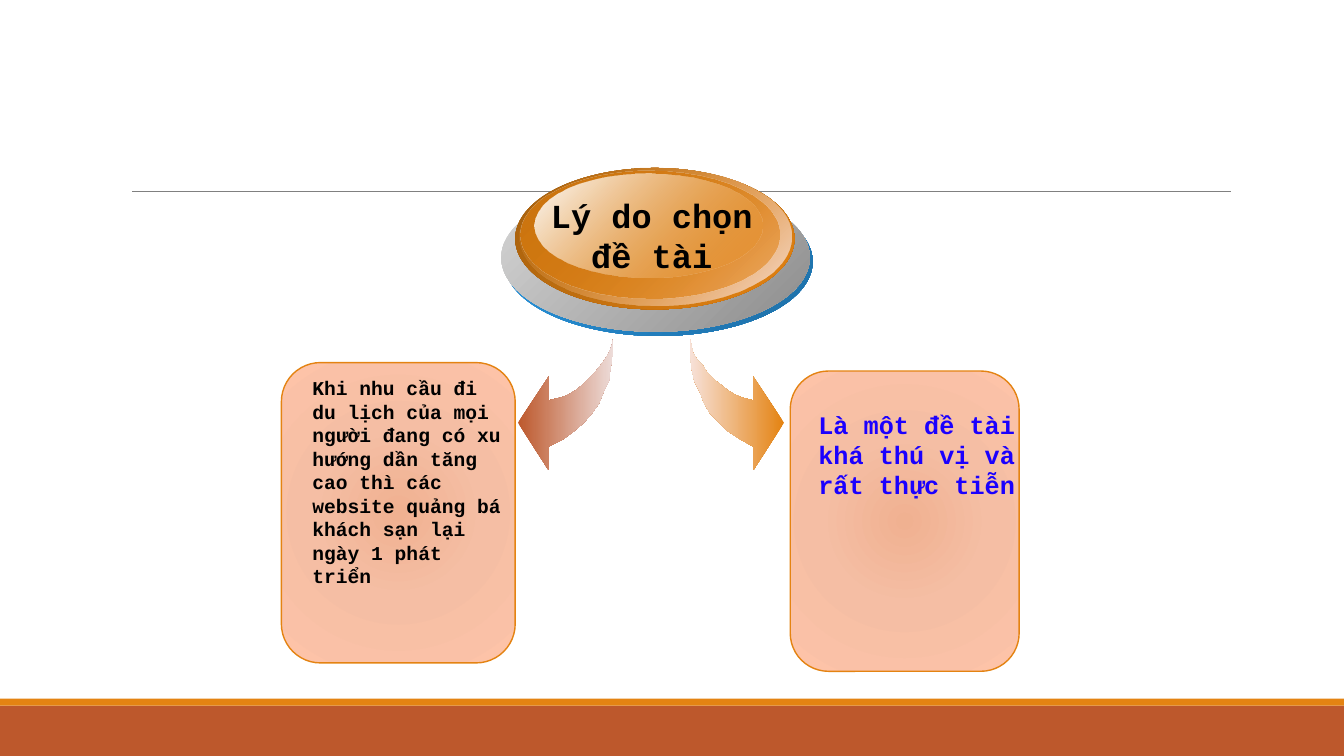
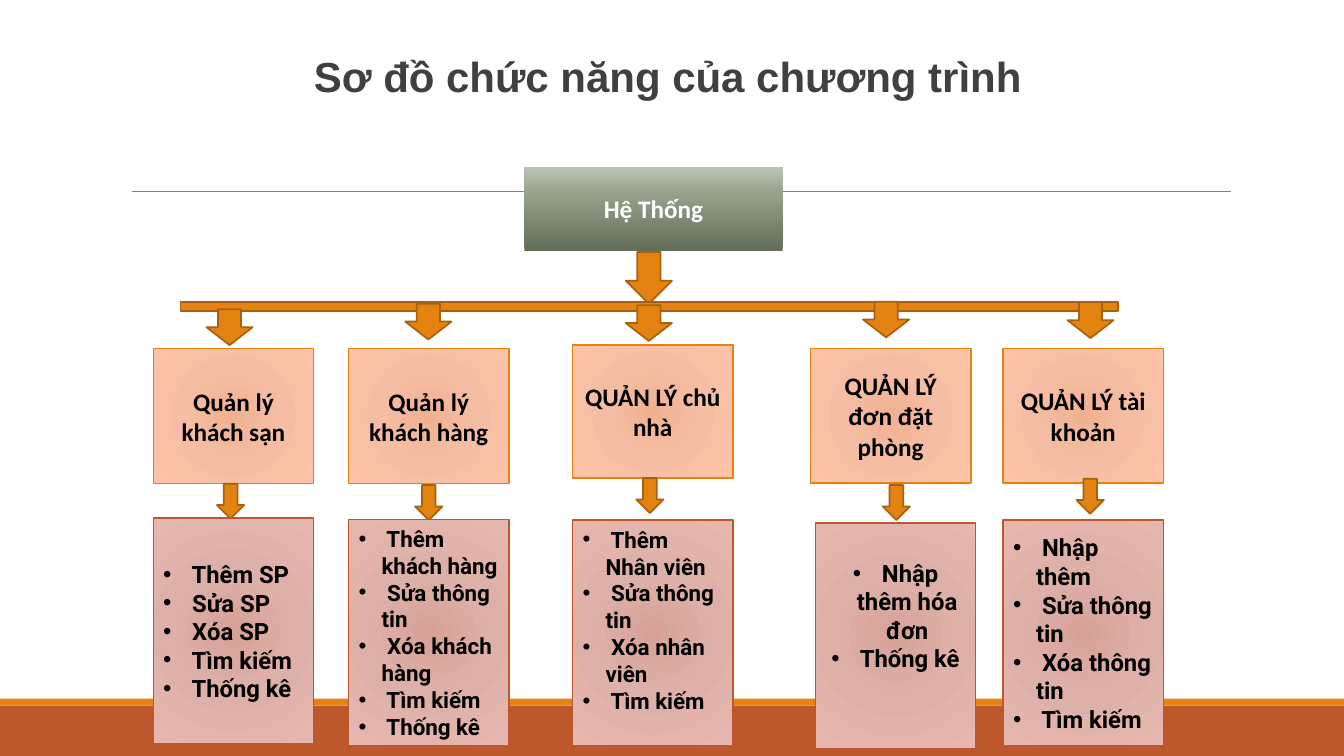
"""Builds two slides: the reasons for the topic and the function chart of the program."""
import typing

import pptx
import pptx.dml.color
import pptx.enum.shapes
import pptx.enum.text
import pptx.oxml
import pptx.oxml.ns
import pptx.util

Pt = pptx.util.Pt
SHAPE = pptx.enum.shapes.MSO_SHAPE
ALIGN = pptx.enum.text.PP_ALIGN
ANCHOR = pptx.enum.text.MSO_ANCHOR

ORANGE, RUST, BROWN = "E48312", "BD582C", "A9610D"
BLACK, WHITE, GREY, DARK, BLUE = "000000", "FFFFFF", "808080", "404040", "1B00FE"
PEACH = [(0, "F0B191"), (45, "F5BEA4"), (100, "FDC3A8")]
ROSE = [(0, "D7A197"), (45, "DEB1A8"), (100, "E6B7AE")]
GREEN = [(0, "636E58"), (70, "97A38C"), (100, "BFC6B8")]

ELLIPSES = [
    ((360, 134, 220.5, 106), [(0, "2998E3"), (100, "1E6FA6")]),
    ((358, 131, 220.5, 106), [(0, "D6D6D6"), (100, "8C8C8C")]),
    ((368, 120, 199.5, 101), [(0, "A35E0D"), (100, ORANGE)]),
    ((371, 120, 194.5, 98.5), [(0, ORANGE, 0), (100, "F6DED4")]),
    ((372, 121.5, 185, 92), [(0, "CE7610"), (100, ORANGE, 48)]),
    ((382, 124, 163, 74), [(0, WHITE), (100, ORANGE, 38)]),
]
CURVED_ARROW = [
    (0, 0), (0, 10.8), (1.4, 20.9), (2.9, 29.5), (6.5, 38.2), (10, 46),
    (14.4, 53.3), (20.9, 59.8), (27.4, 65.5), (36, 72), (45.4, 77),
    (45.4, 93.6), (67, 60.5), (45.4, 27.4), (45.4, 43.9), (41, 43.2),
    (36.7, 41.8), (31.7, 39.6), (26.6, 36.7), (21.6, 33.1), (17.3, 28.8),
    (12.2, 24.5), (8.6, 19.4), (5, 15.1), (2.2, 10.1), (0.7, 5),
]


class Column(typing.NamedTuple):
    """One branch of the chart: a heading, its tasks and their places."""
    heading: str
    tasks: list
    size: float
    head: tuple
    arrow: tuple
    step: tuple
    box: tuple
    align: typing.Any = ALIGN.LEFT
    bottom: float = 3.6


COLUMNS = [
    Column("Quản lý khách sạn",
           [" Thêm SP", " Sửa SP", " Xóa SP", " Tìm kiếm", " Thống kê"], 17,
           (109.5, 249, 96.5), (147.5, 221), (155, 345.5), (109.5, 370)),
    Column("Quản lý khách hàng",
           [" Thêm khách hàng", " Sửa thông tin", " Xóa khách hàng", " Tìm kiếm", " Thống kê"], 16,
           (249, 249, 96.5), (289.5, 217), (296.5, 346.5), (249, 371)),
    Column("QUẢN LÝ chủ nhà",
           [" Thêm Nhân viên", " Sửa thông tin", " Xóa nhân viên", " Tìm kiếm"], 16,
           (409, 246.5, 95), (447, 218), (454.5, 341.5), (409, 371.5), bottom=22.6),
    Column("QUẢN LÝ đơn đặt phòng",
           [" Nhập thêm hóa đơn", " Thống kê"], 17,
           (579, 249, 96), (616.5, 215.5), (630.5, 346.5), (582.5, 373.5), ALIGN.CENTER, 32.6),
    Column("QUẢN LÝ tài khoản",
           [" Nhập thêm", " Sửa thông tin", " Xóa thông tin", " Tìm kiếm"], 17,
           (716.5, 249, 96), (762.5, 216), (769, 342), (716.5, 371.5)),
]


def rgb(value):
    """Turn a hex string into a colour."""
    return pptx.dml.color.RGBColor.from_string(value)


def set_gradient(sp, stops, angle=None):
    """Fill a shape with a linear gradient, or a radial one without an angle."""
    sp.fill.gradient()
    old = sp._element.spPr.find(pptx.oxml.ns.qn("a:gradFill"))
    marks = ""
    for position, value, *alpha in stops:
        opacity = f'<a:alpha val="{alpha[0] * 1000}"/>' if alpha else ""
        marks += f'<a:gs pos="{position * 1000}"><a:srgbClr val="{value}">{opacity}</a:srgbClr></a:gs>'
    if angle is None:
        way = '<a:path path="circle"><a:fillToRect l="100000" t="100000" r="100000" b="100000"/></a:path>'
    else:
        way = f'<a:lin ang="{angle * 60000}" scaled="0"/>'
    new = pptx.oxml.parse_xml(
        f'<a:gradFill {pptx.oxml.ns.nsdecls("a")} rotWithShape="1">'
        f"<a:gsLst>{marks}</a:gsLst>{way}</a:gradFill>")
    old.getparent().replace(old, new)


def style_shape(sp, fill, line=None, angle=None):
    """Give a shape its fill and outline, without a shadow."""
    sp.shadow.inherit = False
    if isinstance(fill, str):
        sp.fill.solid()
        sp.fill.fore_color.rgb = rgb(fill)
    else:
        set_gradient(sp, fill, angle)
    if line:
        sp.line.color.rgb = rgb(line[0])
        sp.line.width = Pt(line[1])
    else:
        sp.line.fill.background()


def add_shape(slide, kind, place, fill, line=None, angle=None):
    """Add a styled preset shape."""
    sp = slide.shapes.add_shape(kind, *map(Pt, place))
    style_shape(sp, fill, line, angle)
    return sp


def set_text(sp, lines, font, size, color, align=ALIGN.LEFT, anchor=ANCHOR.TOP, wrap=True):
    """Write bold paragraphs into a shape."""
    tf = sp.text_frame
    tf.text = "\n".join(lines)
    tf.word_wrap = wrap
    tf.auto_size = pptx.enum.text.MSO_AUTO_SIZE.NONE
    tf.vertical_anchor = anchor
    for p in tf.paragraphs:
        p.alignment = align
        for r in p.runs:
            r.font.name = font
            r.font.size = Pt(size)
            r.font.bold = True
            r.font.color.rgb = rgb(color)
    return tf


def add_bullets(tf, indent=16.5):
    """Put a hanging bullet before each paragraph."""
    for p in tf.paragraphs:
        pPr = p._p.get_or_add_pPr()
        pPr.set("marL", str(Pt(indent)))
        pPr.set("indent", str(-Pt(indent)))
        for tag in ('buFont typeface="Arial"', 'buChar char="•"'):
            pPr.append(pptx.oxml.parse_xml(f'<a:{tag} {pptx.oxml.ns.nsdecls("a")}/>'))


def set_title(slide, place, lines, font, size, color, **options):
    """Place and format the title."""
    sp = slide.shapes.title
    sp.left, sp.top, sp.width, sp.height = map(Pt, place)
    set_text(sp, lines, font, size, color, **options)
    return sp


def add_down_arrow(slide, place):
    """Add an orange arrow pointing down."""
    add_shape(slide, SHAPE.DOWN_ARROW, place, ORANGE, (BROWN, 1.25))


def add_curved_arrow(slide, x, y, side, color, pale):
    """Add a curved arrow from its tail; side is -1 for left and 1 for right."""
    points = [(x + side * dx, y + dy) for dx, dy in CURVED_ARROW]
    builder = slide.shapes.build_freeform(*points[0], scale=Pt(1))
    builder.add_line_segments(points[1:], close=True)
    style_shape(builder.convert_to_shape(), [(0, color), (100, pale)], angle=0 if side < 0 else 180)


def add_card(slide, place, text_place, text, size, color):
    """Add a rounded card with its text."""
    sp = add_shape(slide, SHAPE.ROUNDED_RECTANGLE, place, PEACH, (ORANGE, 1))
    sp.adjustments[0] = 0.167
    box = slide.shapes.add_textbox(*map(Pt, text_place))
    set_text(box, [text], "Courier New", size, color)


def add_column(slide, column):
    """Add one branch of the function chart."""
    width = 114.5
    add_down_arrow(slide, (*column.arrow, 33, 25.5))
    left, top, height = column.head
    sp = add_shape(slide, SHAPE.RECTANGLE, (left, top, width, height), PEACH, (ORANGE, 1))
    set_text(sp, [column.heading], "Calibri", 18, BLACK, ALIGN.CENTER, ANCHOR.MIDDLE)
    add_down_arrow(slide, (*column.step, 19.5, 25))
    sp = add_shape(slide, SHAPE.RECTANGLE, (*column.box, width, 161.5), ROSE, (RUST, 1))
    tf = set_text(sp, column.tasks, "Roboto", column.size, BLACK, column.align, ANCHOR.MIDDLE)
    tf.margin_bottom = Pt(column.bottom)
    add_bullets(tf)


def build_frame(slide):
    """Draw the bands and the rule, and move them to the slide's layout."""
    layout = slide.slide_layout
    for sp in list(layout.placeholders):
        if sp.placeholder_format.type != pptx.enum.shapes.PP_PLACEHOLDER.TITLE:
            sp._element.getparent().remove(sp._element)
    bands = [add_shape(slide, SHAPE.RECTANGLE, (0, 504, 960, 36), RUST),
             add_shape(slide, SHAPE.RECTANGLE, (0, 499, 960, 5), ORANGE)]
    rule = slide.shapes.add_connector(
        pptx.enum.shapes.MSO_CONNECTOR.STRAIGHT, Pt(94.5), Pt(136.8), Pt(879), Pt(136.8))
    rule.line.color.rgb = rgb(GREY)
    rule.line.width = Pt(0.5)
    rule._element.spPr.append(pptx.oxml.parse_xml(f'<a:effectLst {pptx.oxml.ns.nsdecls("a")}/>'))
    for sp in (*bands, rule):
        layout.shapes._spTree.append(sp._element)


def build_reasons(slide):
    """Show the topic and its two reasons."""
    add_card(slide, (564.5, 265, 163.5, 214.5), (577.5, 288.5, 160.5, 95),
             "Là một đề tài khá thú vị và rất thực tiễn", 18, BLUE)
    add_card(slide, (201, 259, 167, 214.5), (216, 265, 151, 143),
             "Khi nhu cầu đi du lịch của mọi người đang có xu hướng dần tăng cao "
             "thì các website quảng bá khách sạn lại ngày 1 phát triển", 14, BLACK)
    add_curved_arrow(slide, 437.5, 242, -1, RUST, "EDDCD9")
    add_curved_arrow(slide, 493, 242, 1, ORANGE, "F7E1D8")
    for place, stops in ELLIPSES:
        add_shape(slide, SHAPE.OVAL, place, stops, angle=45)
    title = set_title(slide, (384.5, 135.5, 162, 65.5), ["Lý do chọn", "đề tài"],
                      "Courier New", 24, BLACK, align=ALIGN.CENTER, wrap=False)
    slide.shapes._spTree.append(title._element)


def build_functions(slide):
    """Show the function chart."""
    set_title(slide, (217, 32.5, 530, 65.5), ["Sơ đồ chức năng của chương trình"], "Arial", 30, DARK)
    sp = add_shape(slide, SHAPE.RECTANGLE, (374.5, 119, 184.5, 60), GREEN, angle=270)
    set_text(sp, ["Hệ Thống"], "Calibri", 18, WHITE, ALIGN.CENTER, ANCHOR.MIDDLE)
    add_down_arrow(slide, (447, 180, 33, 37))
    add_shape(slide, SHAPE.RECTANGLE, (129, 216, 669.5, 6), ORANGE, (BROWN, 1.25))
    for column in COLUMNS:
        add_column(slide, column)


def main():
    """Build and save the presentation."""
    prs = pptx.Presentation()
    prs.slide_width, prs.slide_height = Pt(960), Pt(540)
    reasons, functions = [prs.slides.add_slide(prs.slide_layouts[5]) for _ in range(2)]
    build_frame(reasons)
    build_reasons(reasons)
    build_functions(functions)
    prs.save("out.pptx")


if __name__ == "__main__":
    main()
